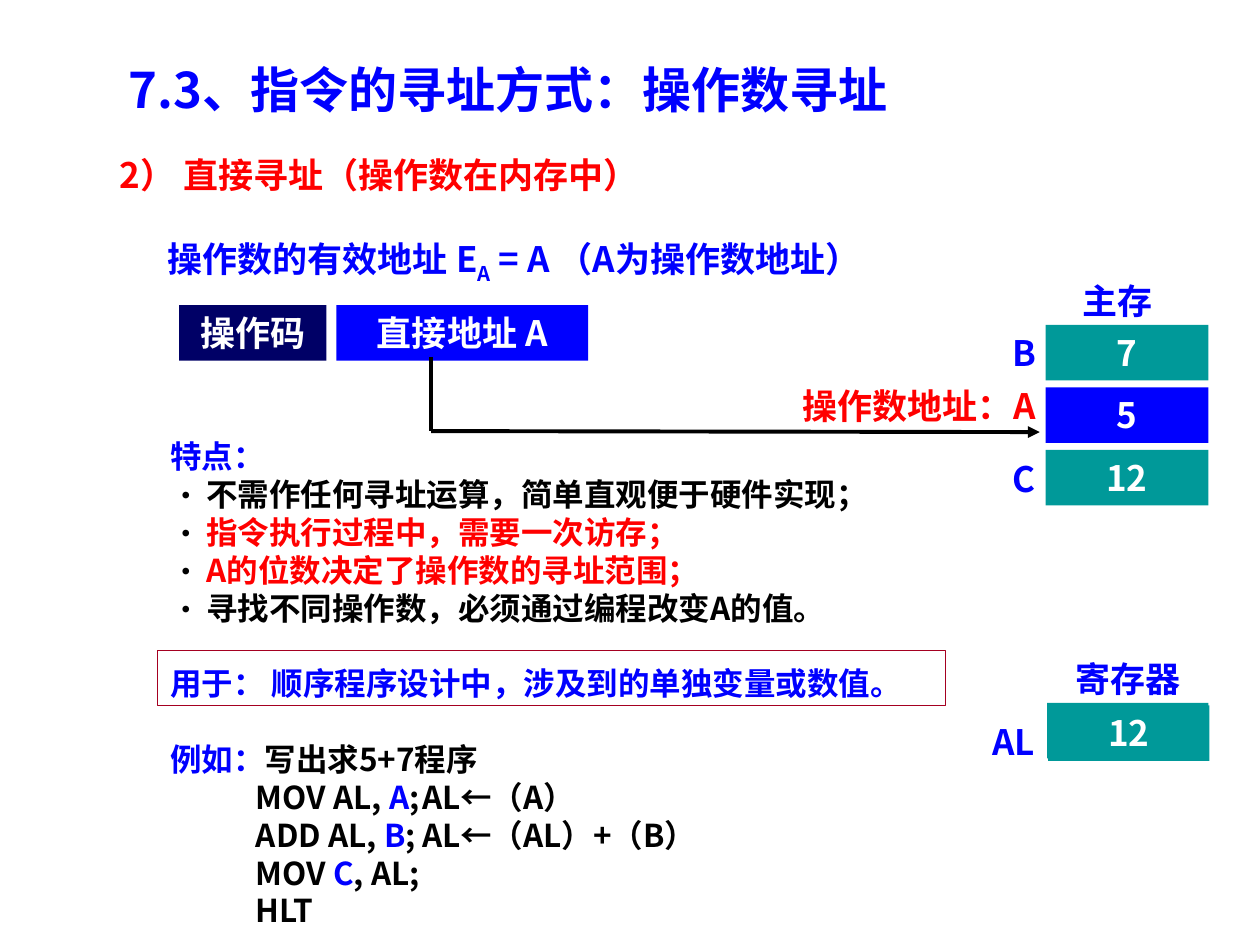
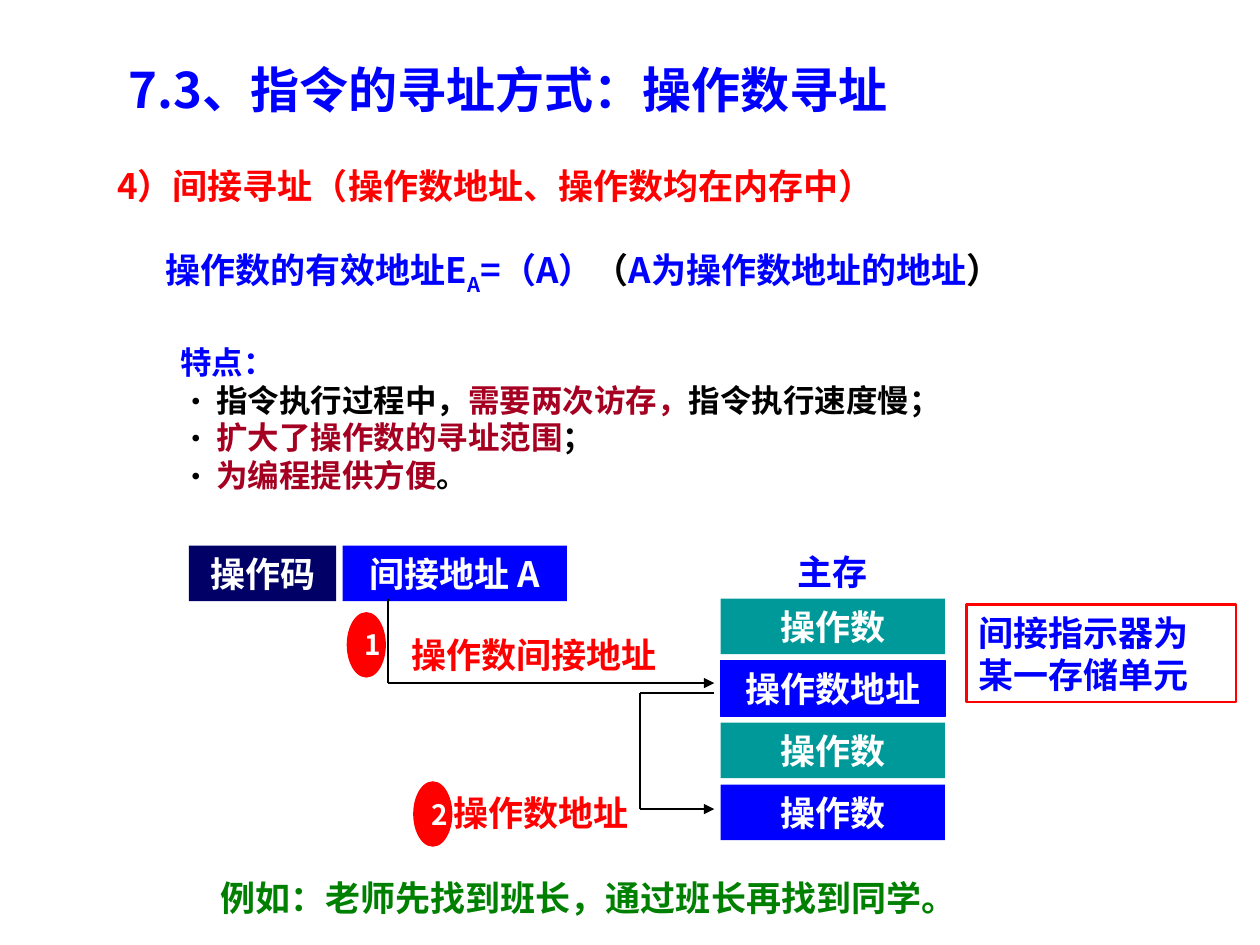
from dataclasses import dataclass, field
from itertools import pairwise

from lxml.etree import SubElement
from pptx import Presentation
from pptx.dml.color import RGBColor
from pptx.enum.shapes import MSO_CONNECTOR, MSO_SHAPE
from pptx.enum.text import MSO_ANCHOR, PP_ALIGN
from pptx.oxml.ns import qn
from pptx.util import Cm, Pt


@dataclass(frozen=True)
class Theme:
    font: str = "Noto Sans CJK SC"
    blue: str = "0000FF"
    navy: str = "000066"
    teal: str = "009999"
    red: str = "FF0000"
    crimson: str = "A50021"
    green: str = "008000"
    black: str = "000000"
    white: str = "FFFFFF"
    title: int = 28
    label: int = 20
    body: int = 18
    badge: int = 16
    label_gap: float = 24.1
    body_gap: float = 21.7
    row: float = 1.12


THEME = Theme()


@dataclass
class Run:
    text: str
    color: str = THEME.black
    subscript: bool = False


@dataclass
class Line:
    runs: list
    size: int = THEME.label
    bullet: bool = False
    indent: float = 0
    tab: float = 0
    format: dict = field(default_factory=dict)


def set_values(target, values):
    for name, value in values.items():
        setattr(target, name, value)


class Deck:
    """Holds the style and the current slide."""

    def __init__(self, theme):
        self.theme = theme
        self.presentation = Presentation()
        set_values(self.presentation, {"slide_width": Cm(25.4), "slide_height": Cm(19.05)})
        self.slide = None

    def new_slide(self, title):
        self.slide = self.presentation.slides.add_slide(self.presentation.slide_layouts[6])
        self.label(title, 2.34, 1.07, 17.58, 1.45, size=self.theme.title)

    # Text
    def fill_frame(self, frame, lines, wrap=True, anchor=MSO_ANCHOR.TOP):
        set_values(frame, {
            "word_wrap": wrap, "vertical_anchor": anchor,
            "margin_left": Cm(0.25), "margin_right": Cm(0.25),
            "margin_top": Cm(0.13), "margin_bottom": Cm(0.13),
        })
        for index, line in enumerate(lines):
            paragraph = frame.paragraphs[0] if index == 0 else frame.add_paragraph()
            self.layout_paragraph(paragraph, line)
            for part in line.runs:
                self.add_run(paragraph, part, line.size)

    def layout_paragraph(self, paragraph, line):
        properties = paragraph._p.get_or_add_pPr()
        margin = Cm(0.73) if line.bullet else 0
        properties.set("marL", str(margin))
        properties.set("indent", str(-margin if line.bullet else Cm(line.indent)))
        if line.bullet:
            color = SubElement(properties, qn("a:buClr"))
            SubElement(color, qn("a:srgbClr"), val=self.theme.black)
            SubElement(properties, qn("a:buFont"), typeface=self.theme.font)
            SubElement(properties, qn("a:buChar"), char="•")
        else:
            SubElement(properties, qn("a:buNone"))
        if line.tab:
            tabs = SubElement(properties, qn("a:tabLst"))
            SubElement(tabs, qn("a:tab"), pos=str(Cm(line.tab)), algn="l")
        set_values(paragraph, line.format)

    def add_run(self, paragraph, part, size):
        run = paragraph.add_run()
        run.text = part.text
        set_values(run.font, {"name": self.theme.font, "size": Pt(size), "bold": True})
        run.font.color.rgb = RGBColor.from_string(part.color)
        properties = run._r.get_or_add_rPr()
        SubElement(properties, qn("a:ea"), typeface=self.theme.font)
        if part.subscript:
            properties.set("baseline", "-25000")

    def text(self, lines, left, top, width, height, wrap=True):
        box = self.slide.shapes.add_textbox(Cm(left), Cm(top), Cm(width), Cm(height))
        self.fill_frame(box.text_frame, lines, wrap)

    def label(self, text, left, top, width, height=THEME.row, color=THEME.blue,
              size=THEME.label, align=PP_ALIGN.LEFT, wrap=True):
        line = Line([Run(text, color)], size, format={"alignment": align})
        self.text([line], left, top, width, height, wrap)

    # Shapes
    def shape(self, left, top, width, height, fill=None, outline=None, weight=0.75,
              kind=MSO_SHAPE.RECTANGLE):
        shape = self.slide.shapes.add_shape(kind, Cm(left), Cm(top), Cm(width), Cm(height))
        shape.shadow.inherit = False
        for target, color in ((shape.fill, fill), (shape.line.fill, outline)):
            if color:
                target.solid()
                target.fore_color.rgb = RGBColor.from_string(color)
            else:
                target.background()
        if outline:
            shape.line.width = Pt(weight)
        return shape

    def cell(self, text, left, top, width, fill, outline=None):
        shape = self.shape(left, top, width, self.theme.row, fill, outline)
        line = Line([Run(text, self.theme.white)], format={"alignment": PP_ALIGN.CENTER})
        self.fill_frame(shape.text_frame, [line])

    def column(self, cells, left, top, width, pitch):
        for index, (text, *colors) in enumerate(cells):
            self.cell(text, left, top + index * pitch, width, *colors)

    def badge(self, number, left, top):
        shape = self.shape(left, top, 0.79, 1.32, self.theme.red, kind=MSO_SHAPE.OVAL)
        line = Line([Run(number, self.theme.white)], self.theme.badge,
                    format={"alignment": PP_ALIGN.CENTER})
        self.fill_frame(shape.text_frame, [line], anchor=MSO_ANCHOR.MIDDLE)

    def arrow(self, points, weight):
        """Joins the points with straight lines and ends in an arrowhead."""
        for start, end in pairwise(points):
            connector = self.slide.shapes.add_connector(
                MSO_CONNECTOR.STRAIGHT, *map(Cm, start + end))
            connector.line.width = Pt(weight)
            connector.line.color.rgb = RGBColor.from_string(self.theme.black)
            if end == points[-1]:
                SubElement(connector.line._get_or_add_ln(), qn("a:tailEnd"), type="triangle")
            SubElement(connector._element.spPr, qn("a:effectLst"))


TITLE = "7.3、指令的寻址方式：操作数寻址"


def heading(text, formula):
    gap = {"space_before": Pt(THEME.label_gap)}
    return [Line([Run(text, THEME.red)]), Line(formula, indent=0.97, format=gap)]


def features(*items):
    title = Line([Run("特点：", THEME.blue)], THEME.body)
    return [title] + [Line(runs, THEME.body, bullet=True) for runs in items]


def direct_addressing(deck):
    theme = deck.theme
    blue, red = theme.blue, theme.red
    gap = {"space_before": Pt(theme.body_gap)}
    deck.new_slide(TITLE)

    # Heading and formula
    deck.text(heading("2） 直接寻址（操作数在内存中）", [
        Run("操作数的有效地址 E", blue), Run("A", blue, subscript=True),
        Run(" = A （A为操作数地址）", blue),
    ]), 2.16, 2.97, 22.38, 2.92)

    # Features, use and sample program
    program = [
        [Run("MOV AL, "), Run("A", blue), Run(";\tAL←（A）")],
        [Run("ADD AL, "), Run("B", blue), Run(";\tAL←（AL）+（B）")],
        [Run("MOV "), Run("C", blue), Run(", AL;")],
        [Run("HLT")],
    ]
    deck.text([
        *features(
            [Run("不需作任何寻址运算，简单直观便于硬件实现；")],
            [Run("指令执行过程中，需要一次访存；", red)],
            [Run("A的位数决定了操作数的寻址范围；", red)],
            [Run("寻找不同操作数，必须通过编程改变A的值。")],
        ),
        Line([Run("用于： 顺序程序设计中，涉及到的单独变量或数值。", blue)], theme.body, format=gap),
        Line([Run("例如：", blue), Run("写出求5+7程序")], theme.body, format=gap),
        *(Line(runs, theme.body, indent=1.73, tab=5.6) for runs in program),
    ], 3.18, 8.69, 22, 10.26)
    deck.shape(3.18, 13.11, 15.88, theme.row, outline=theme.crimson)

    # Instruction word
    deck.cell("操作码", 3.61, 6.15, 2.97, theme.navy)
    deck.cell("直接地址 A", 6.78, 6.15, 5.08, blue)

    # Main memory
    deck.label("主存", 20.52, 5.51, 4.01, align=PP_ALIGN.CENTER)
    deck.column([("7", theme.teal), ("5", blue), ("12", theme.teal)], 21.08, 6.55, 3.28, 1.26)
    deck.arrow([(8.69, 7.19), (8.69, 8.69), (20.96, 8.71)], 2.25)
    deck.label("操作数地址：A", 15.93, 7.62, 5.66, color=red)

    # Register
    deck.label("寄存器", 20.73, 13.13, 4.01, align=PP_ALIGN.CENTER)
    deck.shape(21.11, 14.17, 3.25, theme.row, theme.teal)
    deck.cell("12", 21.13, 14.22, 3.25, theme.teal)

    # Names beside the cells
    for name, top, width in (("B", 6.55, 0.96), ("C", 9.09, 0.96), ("AL", 14.4, 1.4)):
        deck.label(name, 21.12 - width, top, width, align=PP_ALIGN.RIGHT, wrap=False)


def indirect_addressing(deck):
    theme = deck.theme
    blue, red, crimson, teal = theme.blue, theme.red, theme.crimson, theme.teal
    deck.new_slide(TITLE)

    # Heading and formula
    deck.text(heading("4）间接寻址（操作数地址、操作数均在内存中）", [
        Run("操作数的有效地址E", blue), Run("A", blue, subscript=True), Run("=（A）", blue),
        Run("（"), Run("A为操作数地址的地址", blue), Run("）"),
    ]), 2.11, 3.18, 22.66, 2.92)

    # Features
    deck.text(features(
        [Run("指令执行过程中，"), Run("需要两次访存，", crimson), Run("指令执行速度慢；")],
        [Run("扩大了操作数的寻址范围", crimson), Run("；")],
        [Run("为编程提供方便", crimson), Run("。")],
    ), 3.38, 6.78, 17.15, 3.3)

    # Instruction word
    deck.cell("操作码", 3.81, 11, 2.97, theme.navy)
    deck.cell("间接地址 A", 6.91, 11, 4.52, blue)

    # Main memory
    deck.label("主存", 15.04, 10.97, 3.48, align=PP_ALIGN.CENTER)
    deck.column([("操作数", teal), ("操作数地址", blue, blue), ("操作数", teal), ("操作数", blue)],
                14.53, 12.07, 4.52, 1.25)

    # The two memory accesses
    deck.arrow([(7.82, 12.07), (7.82, 13.77), (14.4, 13.77)], 1.5)
    deck.arrow([(14.4, 13.97), (12.9, 13.97), (12.9, 16.31), (14.4, 16.31)], 1.5)
    deck.label("操作数间接地址", 8.05, 12.65, 6.78, color=red)
    deck.label("操作数地址", 8.89, 15.82, 6.78, color=red)
    deck.badge("1", 6.99, 12.34)
    deck.badge("2", 8.33, 15.75)

    # Note and example
    note = deck.shape(19.48, 12.19, 5.44, 1.96, outline=red, weight=1.5)
    deck.fill_frame(note.text_frame, [
        Line([Run(text, blue)], format={"alignment": PP_ALIGN.LEFT})
        for text in ("间接指示器为", "某一存储单元")
    ])
    deck.label("例如：老师先找到班长，通过班长再找到同学。", 3.84, 17.53, 15.34,
               color=theme.green, align=PP_ALIGN.CENTER, wrap=False)


def main():
    deck = Deck(THEME)
    direct_addressing(deck)
    indirect_addressing(deck)
    deck.presentation.save("out.pptx")


if __name__ == "__main__":
    main()
